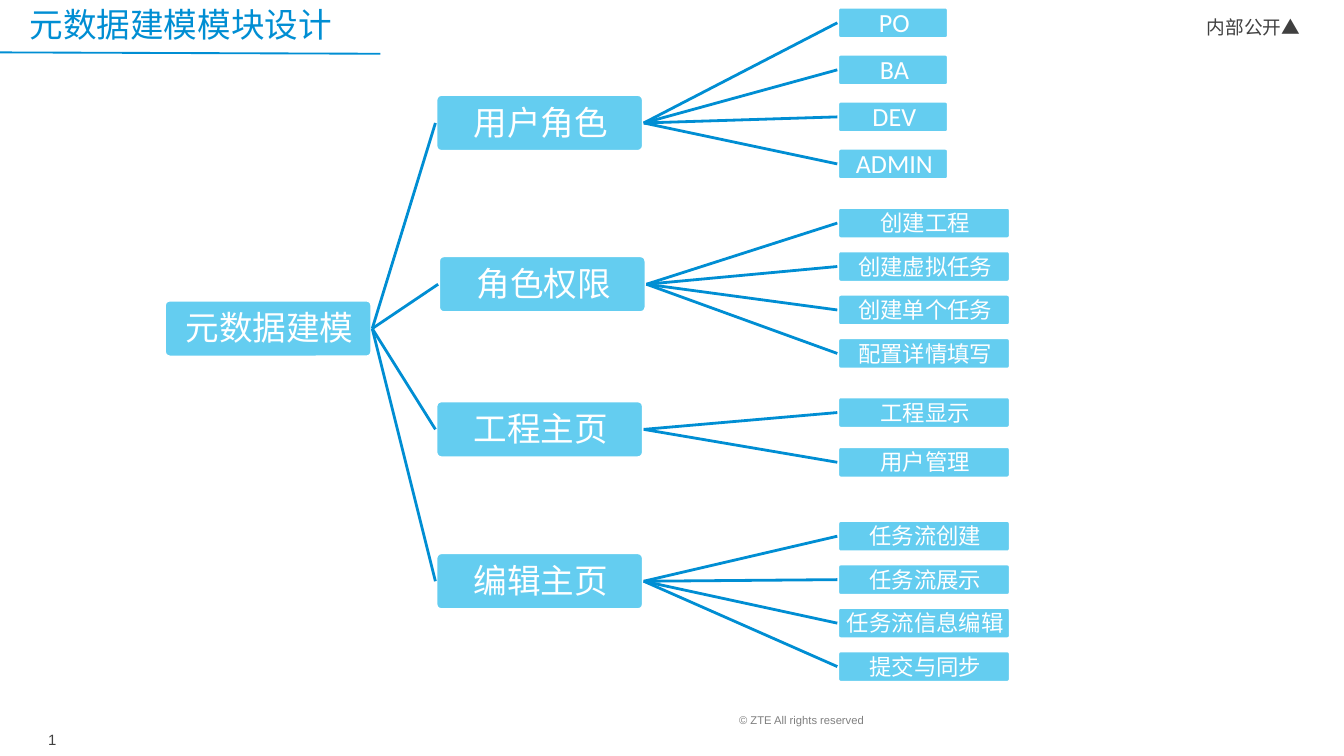
import pptx
import pptx.util
import pptx.dml.color
import pptx.enum.shapes
import pptx.enum.text
import pptx.oxml.ns
from lxml import etree

COLORS = {"blue": "008ED3", "sky": "64CDF0", "white": "FFFFFF", "dark": "404040", "gray": "7F7F7F"}
CJK = "Noto Sans CJK SC"
TITLE = "元数据建模模块设计"
ROOT = ("元数据建模", 1.22, 2.23)
BRANCHES = [
    {"name": "用户角色", "left": 3.24, "top": 0.7, "leaves": ["PO", "BA", "DEV", "ADMIN"],
     "first": 0.05, "last": 1.1, "width": 0.83, "size": 14},
    {"name": "角色权限", "left": 3.26, "top": 1.9,
     "leaves": ["创建工程", "创建虚拟任务", "创建单个任务", "配置详情填写"],
     "first": 1.54, "last": 2.51, "width": 1.29, "size": 12},
    {"name": "工程主页", "left": 3.24, "top": 2.98, "leaves": ["工程显示", "用户管理"],
     "first": 2.95, "last": 3.32, "width": 1.29, "size": 12},
    {"name": "编辑主页", "left": 3.24, "top": 4.11,
     "leaves": ["任务流创建", "任务流展示", "任务流信息编辑", "提交与同步"],
     "first": 3.87, "last": 4.84, "width": 1.29, "size": 12},
]
LABELS = [
    ("© ZTE All rights reserved", (5.5, 5.31, 2.4, 0.19), 6, "Arial", "gray", (0, 0)),
    ("1", (0.26, 5.3, 0.46, 0.4), 8, "Arial", "dark", (0.1, 0.05)),
    ("内部公开▲", (8.98, 0.12, 0.85, 0.25), 10, CJK, "dark", (0, 0)),
]
SLIDE_WIDTH = 10
SLIDE_HEIGHT = SLIDE_WIDTH * 9 / 16
NODE_SIZE = (1.55, 0.43)
LEAF_LEFT, LEAF_HEIGHT = 6.23, 0.24
RIGHT_SITE, LEFT_SITE = 3, 1

Inches, Pt = pptx.util.Inches, pptx.util.Pt
ALIGN = pptx.enum.text.PP_ALIGN
ANCHOR = pptx.enum.text.MSO_ANCHOR


def color(name):
    return pptx.dml.color.RGBColor.from_string(COLORS[name])


def write(box, text, size, font, ink, align, anchor, margins):
    frame = box.text_frame
    frame.word_wrap = True
    frame.vertical_anchor = anchor
    frame.margin_left = frame.margin_right = Inches(margins[0])
    frame.margin_top = frame.margin_bottom = Inches(margins[1])
    para = frame.paragraphs[0]
    para.alignment = align
    span = para.add_run()
    span.text = text
    span.font.size = Pt(size)
    span.font.name = font
    span.font.color.rgb = color(ink)
    if font == CJK:
        latin = span.font._element.find(pptx.oxml.ns.qn("a:latin"))
        east = etree.Element(pptx.oxml.ns.qn("a:ea"), typeface=font)
        latin.addnext(east)
    return para


def add_node(page, text, left, top, width, height, size):
    node = page.shapes.add_shape(pptx.enum.shapes.MSO_SHAPE.ROUNDED_RECTANGLE,
                                 *map(Inches, (left, top, width, height)))
    node.adjustments[0] = 0.1
    node.shadow.inherit = False
    node.fill.solid()
    node.fill.fore_color.rgb = color("sky")
    node.line.color.rgb = color("white")
    node.line.width = Pt(2)
    para = write(node, text, size, "Calibri", "white", ALIGN.CENTER, ANCHOR.MIDDLE, (0.01, 0.01))
    para.line_spacing = 0.9
    node.text_frame.margin_left = node.text_frame.margin_top = Inches(0.03)
    return node


def add_line(page, start, end, width):
    line = page.shapes.add_connector(pptx.enum.shapes.MSO_CONNECTOR.STRAIGHT,
                                     *map(Inches, start + end))
    line.line.color.rgb = color("blue")
    line.line.width = Pt(width)
    etree.SubElement(line._element.spPr, pptx.oxml.ns.qn("a:effectLst"))
    return line


def link(page, parent, child):
    line = add_line(page, (0, 0), (1, 1), 1.5)
    line.begin_connect(parent, RIGHT_SITE)
    line.end_connect(child, LEFT_SITE)


def main():
    deck = pptx.Presentation()
    deck.slide_width, deck.slide_height = Inches(SLIDE_WIDTH), Inches(SLIDE_HEIGHT)
    page = deck.slides.add_slide(deck.slide_layouts[5])

    title = page.shapes.title
    title.left, title.top, title.width, title.height = map(Inches, (0.11, -0.02, 2.47, 0.4))
    write(title, TITLE, 18, CJK, "blue", ALIGN.CENTER, ANCHOR.TOP, (0.1, 0.05))
    title.text_frame.word_wrap = False
    add_line(page, (0, 0.39), (2.83, 0.4), 1)

    for text, place, size, font, ink, margins in LABELS:
        box = page.shapes.add_textbox(*map(Inches, place))
        anchor = ANCHOR.MIDDLE if margins[0] else ANCHOR.TOP
        write(box, text, size, font, ink, ALIGN.LEFT, anchor, margins)

    root = add_node(page, *ROOT, *NODE_SIZE, 18)
    for branch in BRANCHES:
        node = add_node(page, branch["name"], branch["left"], branch["top"], *NODE_SIZE, 18)
        link(page, root, node)
        step = (branch["last"] - branch["first"]) / (len(branch["leaves"]) - 1)
        for row, text in enumerate(branch["leaves"]):
            leaf = add_node(page, text, LEAF_LEFT, branch["first"] + row * step,
                            branch["width"], LEAF_HEIGHT, branch["size"])
            link(page, node, leaf)

    deck.save("out.pptx")


if __name__ == "__main__":
    main()
